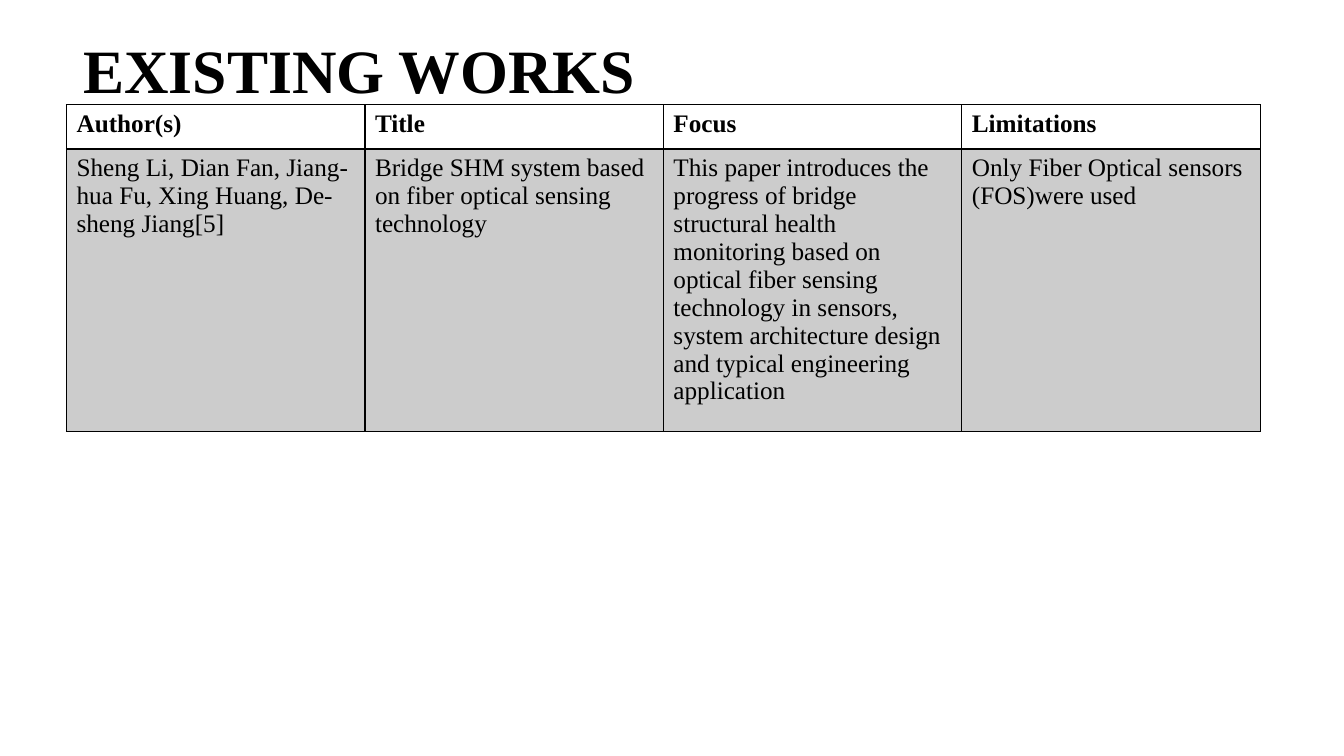
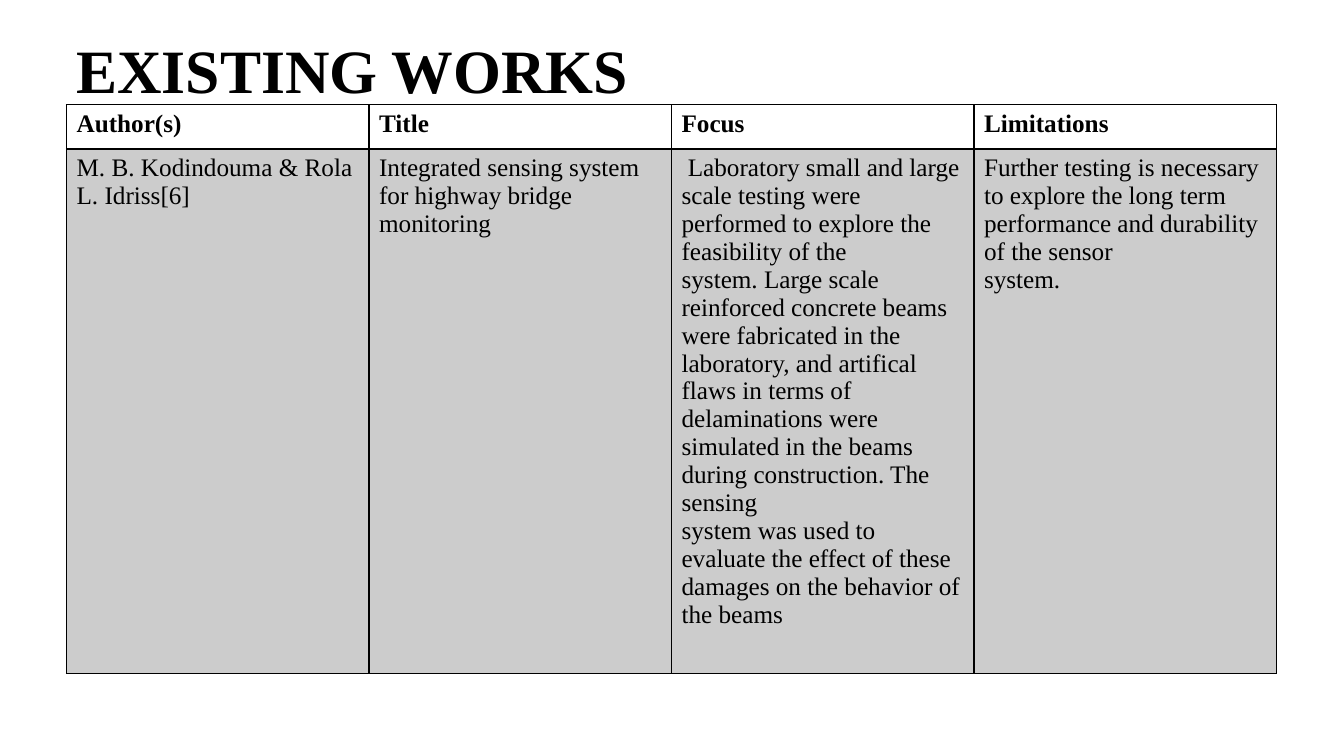
"""Build two slides that review existing works on bridge monitoring."""
import dataclasses

import lxml.etree
import pptx
import pptx.dml.color
import pptx.enum.text
import pptx.oxml.ns
import pptx.presentation
import pptx.slide
import pptx.table
import pptx.text.text
import pptx.util

Inches = pptx.util.Inches
Pt = pptx.util.Pt

COLOURS = {"ink": "000000", "body": "CCCCCC"}
FONT = "Times New Roman"
HEADINGS = ("Author(s)", "Title", "Focus", "Limitations")
TABLE_LEFT, TABLE_TOP, HEADING_HEIGHT = 0.66, 1.04, 0.44
THIN, THICK = 1, 2


@dataclasses.dataclass(frozen=True)
class Work:
    title_left: float
    column_width: float
    body_height: float
    details: tuple[str, ...]


WORKS = (
    Work(0.73, 2.96, 2.58, (
        "Sheng Li, Dian Fan, Jiang-hua Fu, Xing Huang, De-sheng Jiang[5]",
        "Bridge SHM system based on fiber optical sensing technology",
        "This paper introduces the progress of bridge structural health monitoring "
        "based on optical fiber sensing technology in sensors, system architecture "
        "design and typical engineering application",
        "Only Fiber Optical sensors (FOS)were used",
    )),
    Work(0.66, 3.0, 4.8, (
        "M. B. Kodindouma & Rola L. Idriss[6]",
        "Integrated sensing system for highway bridge monitoring",
        " Laboratory small and large scale testing were performed to explore the "
        "feasibility of the\n"
        "system. Large scale reinforced concrete beams were fabricated in the "
        "laboratory, and artifical\n"
        "flaws in terms of delaminations were simulated in the beams during "
        "construction. The sensing\n"
        "system was used to evaluate the effect of these damages on the behavior "
        "of the beams",
        "Further testing is necessary to explore the long term performance and "
        "durability of the sensor\n"
        "system.",
    )),
)


def colour(name: str) -> pptx.dml.color.RGBColor:
    return pptx.dml.color.RGBColor.from_string(COLOURS[name])


def style_text(frame: pptx.text.text.TextFrame, size: int, bold: bool) -> None:
    for paragraph in frame.paragraphs:
        paragraph.font.name = FONT
        paragraph.font.size = Pt(size)
        paragraph.font.bold = bold
        paragraph.font.color.rgb = colour("ink")


def add_title(slide: pptx.slide.Slide, left: float) -> None:
    title = slide.shapes.add_textbox(Inches(left), 0, Inches(11.5), Inches(1.45))
    frame = title.text_frame
    frame.word_wrap = True
    frame.vertical_anchor = pptx.enum.text.MSO_ANCHOR.MIDDLE
    frame.text = "EXISTING WORKS"
    frame.paragraphs[0].line_spacing = 0.9
    style_text(frame, 44, True)


def set_borders(cell: pptx.table._Cell, top: int, bottom: int) -> None:
    qn = pptx.oxml.ns.qn
    properties = cell._tc.get_or_add_tcPr()
    for side, width in (("L", THIN), ("R", THIN), ("T", top), ("B", bottom)):
        line = lxml.etree.SubElement(properties, qn(f"a:ln{side}"), w=str(Pt(width)))
        fill = lxml.etree.SubElement(line, qn("a:solidFill"))
        lxml.etree.SubElement(fill, qn("a:srgbClr"), val=COLOURS["ink"])


def add_work_table(slide: pptx.slide.Slide, work: Work) -> None:
    rows = (HEADINGS, work.details)
    heights = (HEADING_HEIGHT, work.body_height)
    table = slide.shapes.add_table(
        len(rows), len(HEADINGS), Inches(TABLE_LEFT), Inches(TABLE_TOP),
        Inches(work.column_width * len(HEADINGS)), Inches(sum(heights)),
    ).table
    table.first_row = False
    table.horz_banding = False
    for column in table.columns:
        column.width = Inches(work.column_width)
    for row_index, (texts, height) in enumerate(zip(rows, heights)):
        is_heading = row_index == 0
        table.rows[row_index].height = Inches(height)
        for column_index, text in enumerate(texts):
            cell = table.cell(row_index, column_index)
            cell.text = text
            style_text(cell.text_frame, 18, is_heading)
            if is_heading:
                set_borders(cell, THIN, THICK)
                cell.fill.background()
            else:
                set_borders(cell, THICK, THIN)
                cell.fill.solid()
                cell.fill.fore_color.rgb = colour("body")


def add_work_slide(deck: pptx.presentation.Presentation, work: Work) -> None:
    slide = deck.slides.add_slide(deck.slide_layouts[6])
    add_title(slide, work.title_left)
    add_work_table(slide, work)


def main() -> None:
    deck = pptx.Presentation()
    deck.slide_width = Inches(13.33)
    deck.slide_height = Inches(7.5)
    for work in WORKS:
        add_work_slide(deck, work)
    deck.save("out.pptx")


if __name__ == "__main__":
    main()
